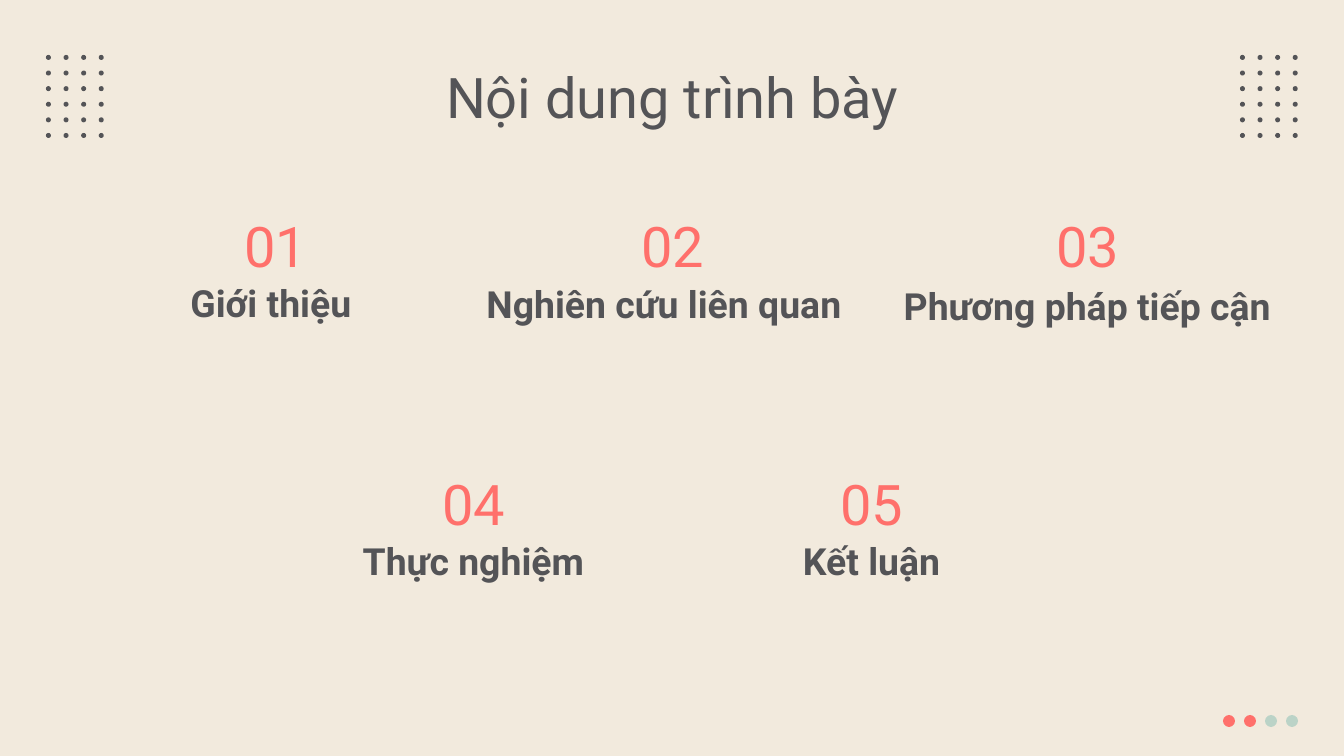
"""Build the agenda slide: a title, five numbered sections and dot ornaments."""
from pptx import Presentation
from pptx import util as u
from pptx.dml.color import RGBColor
from pptx.enum import shapes, text

PX = 914400 / 134.4
FONT = "Roboto"
CREAM = RGBColor(0xF2, 0xEA, 0xDD)
GREY = RGBColor(0x54, 0x54, 0x57)
CORAL = RGBColor(0xFF, 0x70, 0x6B)
MINT = RGBColor(0xBB, 0xD3, 0xC7)

TITLE = "Nội dung trình bày"
SECTIONS = [
    {"name": "Giới thiệu ", "number": (106, 198, 339), "label": (106, 269, 339)},
    {"name": "Nghiên cứu liên quan", "number": (503, 198, 339), "label": (472, 270, 384)},
    {"name": "Phương pháp tiếp cận ", "number": (900, 198, 376), "label": (898, 272, 388)},
    {"name": "Thực nghiệm", "number": (304, 456, 339), "label": (304, 527, 339)},
    {"name": "Kết luận", "number": (702, 456, 339), "label": (702, 527, 339)},
]
NUMBER_HEIGHT, LABEL_HEIGHT = 98, 67
PADDING = (13, 9, 13, 13)
CORNER_GRIDS = [46, 1240]
GRID_TOP, GRID_ROWS, GRID_COLUMNS = 55, 6, 4
PROGRESS = [CORAL, CORAL, MINT, MINT]


def px(length):
    return u.Emu(round(length * PX))


def write(box, words, *, size, color, bold=False, padding=PADDING,
          anchor=text.MSO_ANCHOR.MIDDLE):
    frame = box.text_frame
    frame.word_wrap = True
    frame.auto_size = text.MSO_AUTO_SIZE.NONE
    frame.vertical_anchor = anchor
    (frame.margin_left, frame.margin_top,
     frame.margin_right, frame.margin_bottom) = map(px, padding)
    para = frame.paragraphs[0]
    para.alignment = text.PP_ALIGN.CENTER
    span = para.add_run()
    span.text = words
    span.font.name = FONT
    span.font.size = u.Pt(size)
    span.font.bold = bold
    span.font.color.rgb = color


def add_dots(page, left, top, rows, *, size, step_x, step_y=0):
    group = page.shapes.add_group_shape()
    for row, colors in enumerate(rows):
        for column, color in enumerate(colors):
            dot = group.shapes.add_shape(
                shapes.MSO_SHAPE.OVAL, px(left + column * step_x),
                px(top + row * step_y), px(size), px(size))
            dot.shadow.inherit = False
            dot.fill.solid()
            dot.fill.fore_color.rgb = color
            dot.line.fill.background()


def main():
    deck = Presentation()
    deck.slide_width, deck.slide_height = px(1344), px(756)
    page = deck.slides.add_slide(deck.slide_layouts[5])
    page.background.fill.solid()
    page.background.fill.fore_color.rgb = CREAM

    title = page.shapes.title
    title.left, title.top, title.width, title.height = map(px, (106, 54, 1133, 85))
    write(title, TITLE, size=30, color=GREY, anchor=text.MSO_ANCHOR.TOP)

    for left in CORNER_GRIDS:
        add_dots(page, left, GRID_TOP, [[GREY] * GRID_COLUMNS] * GRID_ROWS,
                 size=5, step_x=17.6, step_y=15.6)

    for index, section in enumerate(SECTIONS, 1):
        label = page.shapes.add_textbox(*map(px, (*section["label"], LABEL_HEIGHT)))
        write(label, section["name"], size=20, color=GREY, bold=True,
              padding=(0, 0, 0, 0))
        number = page.shapes.add_textbox(*map(px, (*section["number"], NUMBER_HEIGHT)))
        write(number, f"{index:02}", size=30, color=CORAL)

    add_dots(page, 1223, 715, [PROGRESS], size=12, step_x=21)
    deck.save("out.pptx")


if __name__ == "__main__":
    main()
